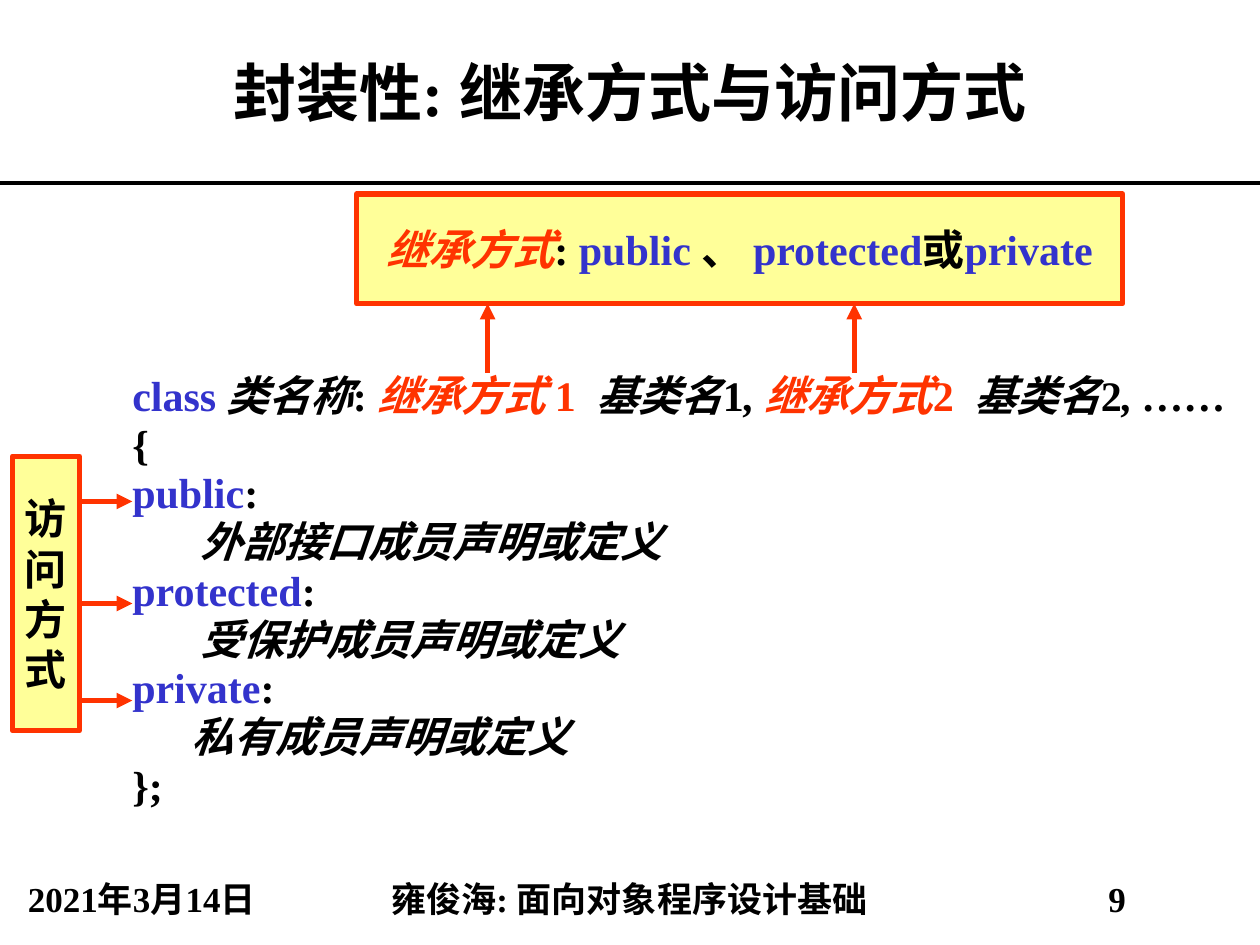
"""Build a slide on encapsulation: inheritance modes and access modes in a class."""
from lxml import etree
from pptx import Presentation
from pptx.dml.color import RGBColor
from pptx.enum.shapes import MSO_CONNECTOR, MSO_SHAPE
from pptx.enum.text import MSO_ANCHOR, MSO_AUTO_SIZE, PP_ALIGN
from pptx.oxml.ns import qn
from pptx.util import Inches, Pt

STRAIGHT = MSO_CONNECTOR.STRAIGHT
RECTANGLE = MSO_SHAPE.RECTANGLE
MIDDLE, TOP = MSO_ANCHOR.MIDDLE, MSO_ANCHOR.TOP
CENTER, LEFT = PP_ALIGN.CENTER, PP_ALIGN.LEFT
NO_FIT = MSO_AUTO_SIZE.NONE

THEME = {
    "font": "Times New Roman",
    "black": RGBColor(0x00, 0x00, 0x00),
    "blue": RGBColor(0x33, 0x33, 0xCC),
    "red": RGBColor(0xFF, 0x33, 0x00),
    "yellow": RGBColor(0xFF, 0xFF, 0x99),
    "title": Pt(36),
    "body": Pt(24),
    "footer": Pt(20),
    "rule": Pt(2.25),
    "outline": Pt(3),
}


def write_runs(paragraph, runs, size):
    for text, color, italic in runs:
        run = paragraph.add_run()
        run.text = text
        values = {"name": THEME["font"], "size": THEME[size], "bold": True, "italic": italic}
        for name, value in values.items():
            setattr(run.font, name, value)
        run.font.color.rgb = THEME[color]


def add_line(slide, start, end, color, width, arrow=False):
    points = [Inches(value) for value in (*start, *end)]
    connector = slide.shapes.add_connector(STRAIGHT, *points)
    connector.line.color.rgb = THEME[color]
    connector.line.width = THEME[width]
    properties = connector._element.spPr
    if arrow:
        etree.SubElement(properties.find(qn("a:ln")), qn("a:tailEnd"), type="triangle")
    etree.SubElement(properties, qn("a:effectLst"))


presentation = Presentation()
presentation.slide_width, presentation.slide_height = Inches(10), Inches(7.5)
slide = presentation.slides.add_slide(presentation.slide_layouts[1])
title, body = slide.shapes.title, slide.placeholders[1]

placeholders = [
    (title, (0, 0, 10, 1.45), MIDDLE),
    (body, (0.95, 2.96, 8.99, 3.99), TOP),
]
for shape, place, anchor in placeholders:
    for name, value in zip(("left", "top", "width", "height"), place):
        setattr(shape, name, Inches(value))
    frame_format = {"word_wrap": True, "auto_size": NO_FIT, "vertical_anchor": anchor}
    for name, value in frame_format.items():
        setattr(shape.text_frame, name, value)

title_paragraph = title.text_frame.paragraphs[0]
title_paragraph.alignment = CENTER
write_runs(title_paragraph, [("封装性: 继承方式与访问方式", "black", False)], "title")

code_lines = [
    (0, [
        ("class ", "blue", False), ("类名称", "black", True), (": ", "black", False),
        ("继承方式 ", "red", True), ("1  ", "red", False),
        ("基类名", "black", True), ("1", "black", False), (", ", "black", True),
        ("继承方式", "red", True), ("2", "red", False),
        ("  基类名", "black", True), ("2", "black", False), (", ……", "black", True),
    ]),
    (0, [("{", "black", False)]),
]
sections = [
    ("public", "外部接口成员声明或定义", 0.54),
    ("protected", "受保护成员声明或定义", 0.54),
    ("private", "私有成员声明或定义", 0.47),
]
for keyword, members, indent in sections:
    code_lines.append((0, [(keyword, "blue", False), (":", "black", False)]))
    code_lines.append((indent, [(members, "black", True)]))
code_lines.append((0, [("};", "black", False)]))

for index, (indent, runs) in enumerate(code_lines):
    paragraph = body.text_frame.paragraphs[0] if index == 0 else body.text_frame.add_paragraph()
    properties = paragraph._p.get_or_add_pPr()
    properties.set("marL", str(Inches(indent)))
    properties.set("indent", "0")
    etree.SubElement(properties, qn("a:buNone"))
    paragraph_format = {
        "alignment": LEFT,
        "line_spacing": 0.8,
        "space_before": Pt(4.8 if index else 0),
    }
    for name, value in paragraph_format.items():
        setattr(paragraph, name, value)
    write_runs(paragraph, runs, "body")

footers = [
    (0, 2.25, "2021年3月14日"),
    (2.25, 5.49, "雍俊海: 面向对象程序设计基础"),
    (7.74, 2.25, "9"),
]
for left, width, text in footers:
    footer = slide.shapes.add_textbox(Inches(left), Inches(6.95), Inches(width), Inches(0.4))
    frame_format = {"word_wrap": True, "auto_size": NO_FIT, "vertical_anchor": MIDDLE}
    for name, value in frame_format.items():
        setattr(footer.text_frame, name, value)
    paragraph = footer.text_frame.paragraphs[0]
    paragraph.alignment = CENTER
    paragraph.line_spacing = 0.9
    write_runs(paragraph, [(text, "black", False)], "footer")

add_line(slide, (0, 1.45), (10, 1.45), "black", "rule")

inheritance_runs = [
    ("继承方式", "red", True), (": ", "black", False), ("public ", "blue", False),
    ("、 ", "black", False), ("protected", "blue", False), ("或", "black", False),
    ("private", "blue", False),
]
callouts = [
    ((2.83, 1.54, 6.08, 0.87), False, inheritance_runs),
    ((0.1, 3.62, 0.53, 2.18), True, [("访问方式", "black", False)]),
]
for place, wrap, runs in callouts:
    callout = slide.shapes.add_shape(RECTANGLE, *[Inches(value) for value in place])
    callout.shadow.inherit = False
    callout.fill.solid()
    callout.fill.fore_color.rgb = THEME["yellow"]
    callout.line.color.rgb = THEME["red"]
    callout.line.width = THEME["outline"]
    frame_format = {
        "word_wrap": wrap, "vertical_anchor": MIDDLE,
        "margin_left": 0, "margin_top": 0, "margin_right": 0, "margin_bottom": 0,
    }
    for name, value in frame_format.items():
        setattr(callout.text_frame, name, value)
    paragraph = callout.text_frame.paragraphs[0]
    paragraph.alignment = CENTER
    write_runs(paragraph, runs, "body")

for x in (3.87, 6.78):
    add_line(slide, (x, 2.96), (x, 2.41), "red", "outline", arrow=True)
for y in (3.98, 4.79, 5.56):
    add_line(slide, (0.64, y), (1.05, y), "red", "outline", arrow=True)

presentation.save("out.pptx")
